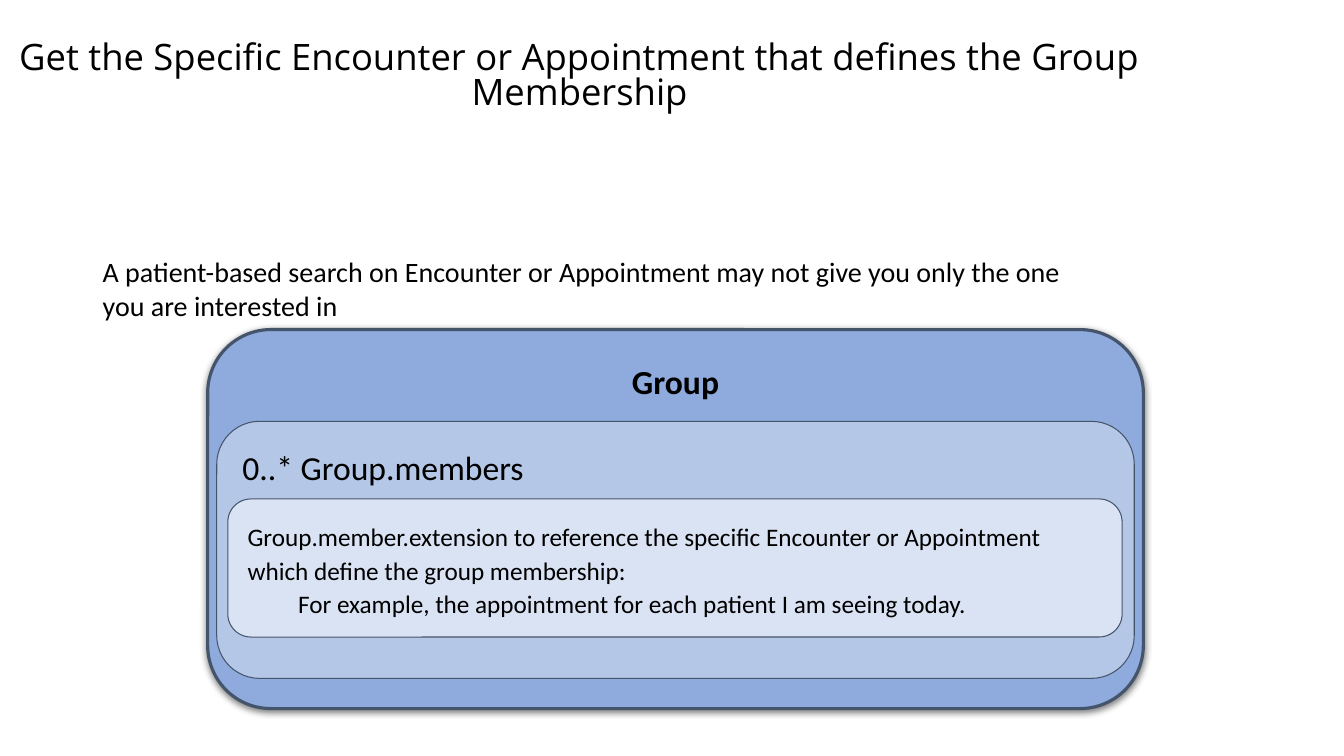
from pptx import Presentation
from pptx.dml.color import RGBColor
from pptx.enum.shapes import MSO_SHAPE
from pptx.enum.text import MSO_ANCHOR, MSO_AUTO_SIZE, PP_ALIGN
from pptx.oxml import parse_xml
from pptx.oxml.ns import nsdecls
from pptx.util import Inches, Pt

COLORS = {
    "text": "000000",
    "edge": "44546A",
    "group": "8FAADC",
    "member": "B4C7E7",
    "detail": "DAE3F3",
}
INSET = 0.13


def color(name):
    return RGBColor.from_string(COLORS[name])


def style(frame, size, font="Calibri", bold=False, align=PP_ALIGN.LEFT, space=None):
    for para in frame.paragraphs:
        para.alignment = align
        if space:
            para.line_spacing = space
        for run in para.runs:
            run.font.size = Pt(size)
            run.font.name = font
            run.font.bold = bold
            run.font.color.rgb = color("text")


def pad(frame):
    frame.word_wrap = True
    frame.vertical_anchor = MSO_ANCHOR.TOP
    frame.margin_left = frame.margin_right = Inches(INSET)
    frame.margin_top = frame.margin_bottom = Inches(INSET)


def add_title(slide, left, top, width, height):
    title = slide.shapes.title
    title.left, title.top = Inches(left), Inches(top)
    title.width, title.height = Inches(width), Inches(height)
    frame = title.text_frame
    frame.text = "Get the Specific Encounter or Appointment that defines the Group Membership"
    pad(frame)
    frame.auto_size = MSO_AUTO_SIZE.TEXT_TO_FIT_SHAPE
    style(frame, 28, "Open Sans", align=PP_ALIGN.CENTER, space=0.9)


def add_intro(slide, left, top, width, height):
    box = slide.shapes.add_textbox(Inches(left), Inches(top), Inches(width), Inches(height))
    frame = box.text_frame
    frame.word_wrap = True
    frame.text = (
        "A patient-based search on Encounter or Appointment may not give you "
        "only the one you are interested in"
    )
    style(frame, 20)


def add_panel(slide, left, top, width, height, fill, text, line=0.75):
    panel = slide.shapes.add_shape(
        MSO_SHAPE.ROUNDED_RECTANGLE,
        Inches(left), Inches(top), Inches(width), Inches(height),
    )
    panel.shadow.inherit = False
    panel.fill.solid()
    panel.fill.fore_color.rgb = color(fill)
    panel.line.color.rgb = color("edge")
    panel.line.width = Pt(line)
    panel.text_frame.text = text
    pad(panel.text_frame)
    return panel


def add_shadow(shape):
    effects = shape._element.spPr.find(
        "{http://schemas.openxmlformats.org/drawingml/2006/main}effectLst"
    )
    effects.append(parse_xml(
        f'<a:outerShdw {nsdecls("a")} blurRad="{Pt(4.5)}" dist="{Pt(1.5)}" '
        'dir="5400000" rotWithShape="0"><a:srgbClr val="000000">'
        '<a:alpha val="50000"/></a:srgbClr></a:outerShdw>'
    ))


def add_group(slide, left, top, width, height):
    group = add_panel(slide, left, top, width, height, "group", "Group", 2.25)
    add_shadow(group)
    style(group.text_frame, 24, bold=True, align=PP_ALIGN.CENTER)

    member = add_panel(
        slide, left + 0.09, top + 0.91, width - 0.18, height - 1.21,
        "member", "0..* Group.members",
    )
    style(member.text_frame, 24)

    detail = add_panel(
        slide, left + 0.2, top + 1.68, width - 0.41, height - 2.39, "detail",
        "Group.member.extension to reference the specific Encounter or Appointment "
        "which define the group membership:\n"
        "For example, the appointment for each patient I am seeing today.",
    )
    example = detail.text_frame.paragraphs[1]
    example.level = 1
    props = example._p.get_or_add_pPr()
    props.set("marL", str(Inches(0.5)))
    props.set("indent", "0")
    style(detail.text_frame, 18, space=1.1)


def main():
    deck = Presentation()
    deck.slide_width, deck.slide_height = Inches(13.33), Inches(7.5)
    slide = deck.slides.add_slide(deck.slide_layouts[5])
    add_title(slide, 0, 0.29, 11.5, 0.97)
    add_group(slide, 2.06, 3.27, 9.28, 3.76)
    add_intro(slide, 0.92, 2.48, 9.85, 1.11)
    deck.save("out.pptx")


if __name__ == "__main__":
    main()
